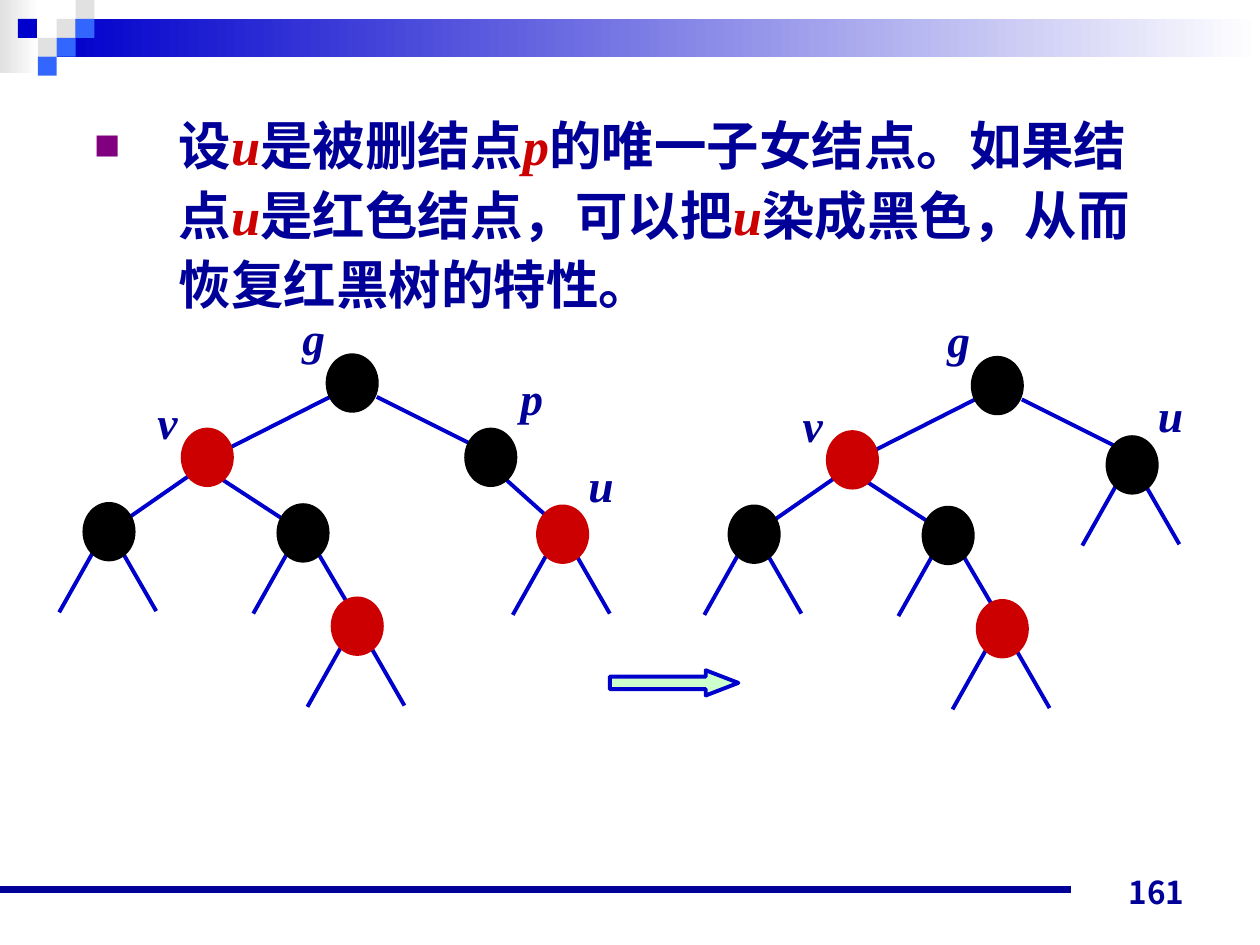
import pptx
import pptx.util
import pptx.dml.color
import pptx.enum.dml
import pptx.enum.shapes
import pptx.enum.text
import pptx.oxml
import pptx.oxml.ns
from lxml import etree

Inches, Pt = pptx.util.Inches, pptx.util.Pt
SHAPE = pptx.enum.shapes.MSO_SHAPE
ALIGN = pptx.enum.text.PP_ALIGN
ANCHOR = pptx.enum.text.MSO_ANCHOR
qn = pptx.oxml.ns.qn

COLORS = {
    "navy": "000099", "blue": "0000CC", "sky": "3366FF", "gray": "E1E1E1",
    "white": "FFFFFF", "black": "000000", "red": "CC0000",
    "purple": "800080", "mint": "CCFFCC",
}
SERIF, SANS = "Times New Roman", "Noto Sans CJK JP"

# Content: text between asterisks is a node name
STATEMENT = ("设*u*是被删结点*p*的唯一子女结点。如果结点*u*是红色结点，"
             "可以把*u*染成黑色，从而恢复红黑树的特性。")
PAGE_NUMBER = "161"

# Header: gradient bands and tiles (left, top, width, height)
BANDS = [("gray", (0, 0, 0.31, 0.58)), ("blue", (0.45, 0.15, 9.55, 0.3))]
TILE = 0.15
TILES = [("gray", 3, 1), ("gray", 4, 0), ("sky", 4, 1), ("gray", 2, 2),
         ("blue", 0.95, 1), ("sky", 3, 2), ("sky", 2, 3)]

# Trees: nodes (left, top, colour), labels (text, left, top, width),
# edges (x1, y1, x2, y2), stubs hang below the node at an index
NODE_W, NODE_H = 0.39, 0.44
SHARED_NODES = [(2.6, 2.82, "black"), (1.45, 3.41, "red"), (0.67, 4, "black"),
                (2.21, 4.01, "black"), (2.64, 4.75, "red")]
SHARED_LABELS = [("g", 2.3, 2.41, 0.38), ("v", 1.15, 3.08, 0.36)]
SHARED_EDGES = [(2.62, 3.15, 1.81, 3.56), (2.99, 3.15, 3.73, 3.52),
                (1.51, 3.77, 1.02, 4.11), (1.77, 3.81, 2.23, 4.11),
                (2.53, 4.4, 2.8, 4.86)]
LEFT_STUB = (0.07, 0.38, -0.2, 0.86)
RIGHT_STUB = (0.3, 0.38, 0.57, 0.85)
TREES = [
    {"offset": (0, 0),
     "nodes": [(3.7, 3.41, "black"), (4.27, 4.02, "red")],
     "labels": [("p", 4.03, 2.89, 0.38), ("u", 4.57, 3.58, 0.4)],
     "edges": [(4.02, 3.81, 4.41, 4.16)]},
    {"offset": (5.12, 0.02),
     "nodes": [(3.67, 3.45, "black")],
     "labels": [("u", 3.97, 3, 0.4)],
     "edges": []},
]


def rgb(name):
    return pptx.dml.color.RGBColor.from_string(COLORS[name])


def add_block(shapes, kind, box, fill, outline=None):
    block = shapes.add_shape(kind, *map(Inches, box))
    block.shadow.inherit = False
    block.fill.solid()
    block.fill.fore_color.rgb = rgb(fill)
    if outline:
        block.line.color.rgb = rgb(outline)
        block.line.width = Pt(2.25)
    else:
        block.line.fill.background()
    return block


def add_line(shapes, ends, color="blue", width=2.25):
    line = shapes.add_connector(pptx.enum.shapes.MSO_CONNECTOR.STRAIGHT,
                                *map(Inches, ends))
    line.line.color.rgb = rgb(color)
    line.line.width = Pt(width)
    etree.SubElement(line._element.spPr, qn("a:effectLst"))


def add_text(shapes, box, wrap=True, anchor=ANCHOR.TOP):
    frame = shapes.add_textbox(*map(Inches, box)).text_frame
    frame.word_wrap = wrap
    frame.vertical_anchor = anchor
    return frame.paragraphs[0]


def add_run(paragraph, text, color="navy", **formats):
    run = paragraph.add_run()
    run.text = text
    run.font.color.rgb = rgb(color)
    for attribute, value in {"bold": True, **formats}.items():
        setattr(run.font, attribute, value)
    return run


def draw_header(shapes):
    for color, box in BANDS:
        band = add_block(shapes, SHAPE.RECTANGLE, box, color)
        band.fill.gradient()
        band.fill.gradient_angle = 0
        for stop, name, place in zip(band.fill.gradient_stops,
                                     (color, "white"), (0, 1)):
            stop.color.rgb = rgb(name)
            stop.position = place
    for color, column, row in TILES:
        add_block(shapes, SHAPE.RECTANGLE,
                  (column * TILE, row * TILE, TILE, TILE), color)


def draw_footer(shapes):
    add_line(shapes, (0, 7.06, 8.5, 7.06), "navy", 4.5)
    number = add_text(shapes, (7.17, 6.78, 2.33, 0.5), anchor=ANCHOR.BOTTOM)
    number.alignment = ALIGN.RIGHT
    add_run(number, PAGE_NUMBER, size=Pt(18), name=SANS)


def draw_statement(shapes):
    statement = add_text(shapes, (0.65, 0.8, 8.57, 6.14))
    statement.line_spacing = 1.1
    properties = statement._p.get_or_add_pPr()
    properties.set("marL", str(Inches(0.67)))
    properties.set("indent", str(-Inches(0.67)))
    bullet_color = etree.SubElement(properties, qn("a:buClr"))
    etree.SubElement(bullet_color, qn("a:srgbClr"), val=COLORS["purple"])
    etree.SubElement(properties, qn("a:buSzPct"), val="50000")
    etree.SubElement(properties, qn("a:buFont"), typeface=SANS)
    etree.SubElement(properties, qn("a:buChar"), char="■")
    for index, part in enumerate(STATEMENT.split("*")):
        is_name = index % 2 == 1
        add_run(statement, part, "red" if is_name else "navy",
                size=Pt(30), name=SERIF, italic=is_name)


def draw_tree(shapes, tree):
    dx, dy = tree["offset"]
    group = shapes.add_group_shape().shapes
    nodes = SHARED_NODES + tree["nodes"]

    # Branches, with stubs under every node that has a free side
    branches = SHARED_EDGES + tree["edges"]
    stubs = [(2, LEFT_STUB), (2, RIGHT_STUB), (3, LEFT_STUB),
             (4, LEFT_STUB), (4, RIGHT_STUB),
             (-1, LEFT_STUB), (-1, RIGHT_STUB)]
    for index, (x1, y1, x2, y2) in stubs:
        left, top = nodes[index][:2]
        branches = branches + [(left + x1, top + y1, left + x2, top + y2)]
    for x1, y1, x2, y2 in branches:
        add_line(group, (x1 + dx, y1 + dy, x2 + dx, y2 + dy))

    # Nodes and their names
    for left, top, color in nodes:
        add_block(group, SHAPE.OVAL, (left + dx, top + dy, NODE_W, NODE_H),
                  color, color)
    for name, left, top, width in SHARED_LABELS + tree["labels"]:
        label = add_text(group, (left + dx, top + dy, width, 0.54), wrap=False)
        label.alignment = ALIGN.CENTER
        add_run(label, name, size=Pt(26), name=SERIF, italic=True)


def main():
    deck = pptx.Presentation()
    deck.slide_width, deck.slide_height = Inches(10), Inches(7.5)
    shapes = deck.slides.add_slide(deck.slide_layouts[6]).shapes
    draw_header(shapes)
    draw_footer(shapes)
    draw_statement(shapes)
    for tree in TREES:
        draw_tree(shapes, tree)
    arrow = add_block(shapes, SHAPE.RIGHT_ARROW, (4.84, 5.32, 1.02, 0.2),
                      "mint", "blue")
    arrow.adjustments[0], arrow.adjustments[1] = 0.5, 1.295
    deck.save("out.pptx")


if __name__ == "__main__":
    main()
